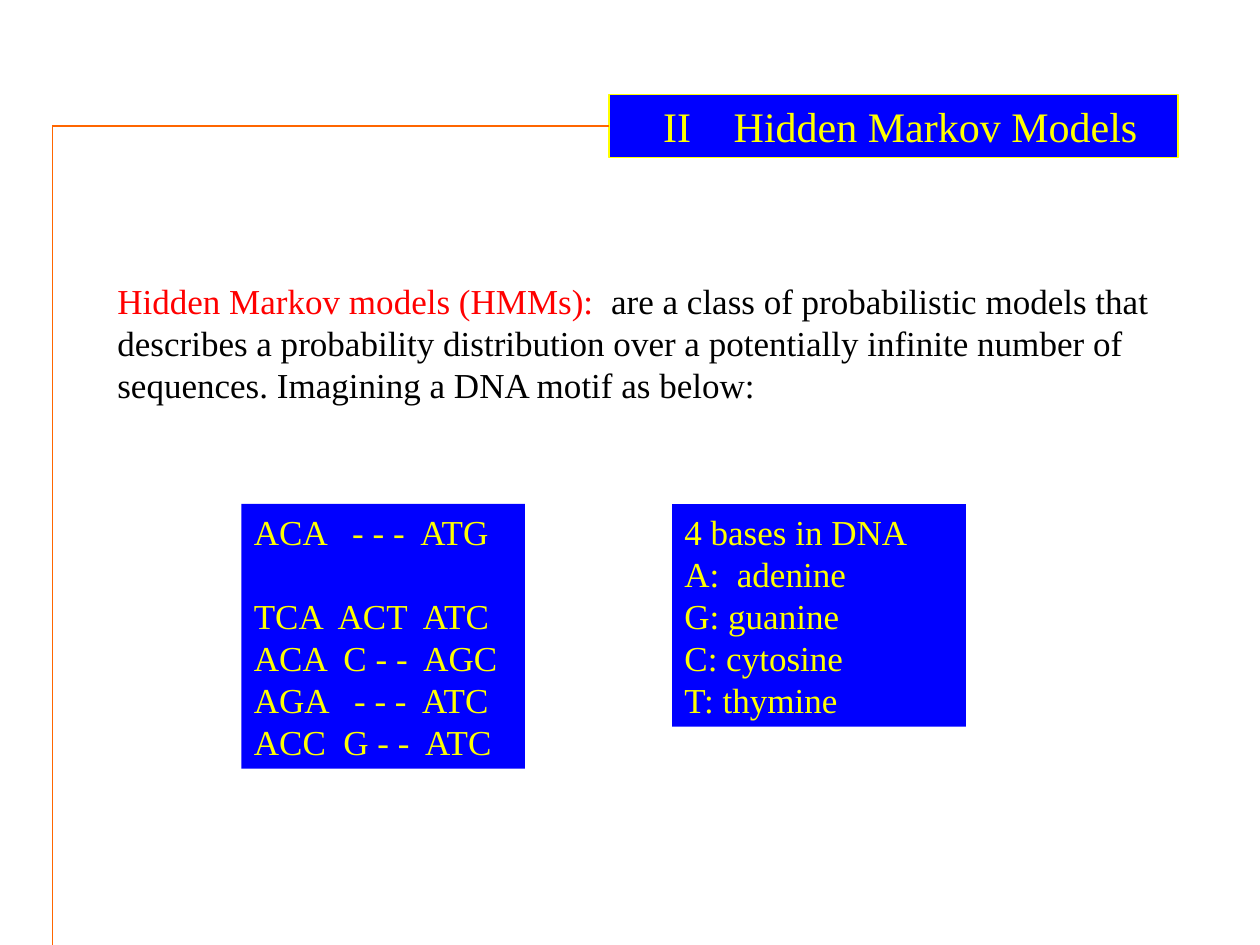
from dataclasses import dataclass
from lxml import etree
from pptx import Presentation
from pptx.dml.color import RGBColor
from pptx.enum.shapes import MSO_CONNECTOR, MSO_SHAPE
from pptx.enum.text import MSO_ANCHOR, PP_ALIGN
from pptx.oxml.ns import qn
from pptx.slide import Slide
from pptx.util import Inches, Pt

STRAIGHT = MSO_CONNECTOR.STRAIGHT
RECTANGLE = MSO_SHAPE.RECTANGLE
TOP = MSO_ANCHOR.TOP
LEFT = PP_ALIGN.LEFT
COLORS = {"frame": "FF6600", "panel": "0000FF", "accent": "FFFF00",
          "term": "FF0000", "text": "000000", "paper": "FFFFFF"}
MOTIF = ["ACA   - - -  ATG", "TCA  ACT  ATC", "ACA  C - -  AGC",
         "AGA   - - -  ATC", "ACC  G - -  ATC"]
BASES = ["4 bases in DNA", "A:  adenine", "G: guanine", "C: cytosine", "T: thymine"]
DEFINITION = [
    ("Hidden Markov models (HMMs):", "term"),
    ("  are a class of probabilistic models that describes a probability distribution "
     "over a potentially infinite number of sequences. Imagining a DNA motif as below:",
     "text"),
]


@dataclass
class LectureSlide:
    """Draws lecture elements on a grid of 120 columns by 90 rows."""
    slide: Slide
    font: str = "Times New Roman"
    size: int = 20
    leading: float = 1.2
    cell: float = 1 / 12

    def grid(self, *cells):
        return [Inches(count * self.cell) for count in cells]

    def color(self, name):
        return RGBColor.from_string(COLORS[name])

    def style(self, paragraph, color, size):
        paragraph.alignment = LEFT
        paragraph.line_spacing = Pt(size * self.leading)
        paragraph.space_before = Pt(0)
        paragraph.font.name = self.font
        paragraph.font.size = Pt(size)
        paragraph.font.color.rgb = self.color(color)

    def frame_line(self, *ends):
        line = self.slide.shapes.add_connector(STRAIGHT, *self.grid(*ends))
        line.line.color.rgb = self.color("frame")
        line.line.width = Pt(0.75)
        etree.SubElement(line._element.spPr, qn("a:effectLst"))

    def title(self, number, heading, area, size=24):
        title = self.slide.shapes.title
        title.left, title.top, title.width, title.height = self.grid(*area)
        title.fill.solid()
        title.fill.fore_color.rgb = self.color("panel")
        title.line.color.rgb = self.color("accent")
        title.line.width = Pt(1)
        frame = title.text_frame
        frame.vertical_anchor = TOP
        frame.margin_left = Inches(0.43)
        frame.text = f"{number}\t{heading}"
        paragraph = frame.paragraphs[0]
        self.style(paragraph, "accent", size)
        properties = paragraph._p.get_or_add_pPr()
        stops = etree.Element(qn("a:tabLst"))
        etree.SubElement(stops, qn("a:tab"), pos=str(Inches(0.56)), algn="l")
        properties.insert(len(properties) - 1, stops)

    def definition(self, parts, area):
        box = self.slide.shapes.add_textbox(*self.grid(*area))
        box.fill.solid()
        box.fill.fore_color.rgb = self.color("paper")
        box.text_frame.word_wrap = True
        paragraph = box.text_frame.paragraphs[0]
        self.style(paragraph, "text", self.size)
        for text, color in parts:
            run = paragraph.add_run()
            run.text = text
            run.font.color.rgb = self.color(color)

    def panel(self, lines, area, gap_after_first=0):
        panel = self.slide.shapes.add_shape(RECTANGLE, *self.grid(*area))
        panel.shadow.inherit = False
        panel.fill.solid()
        panel.fill.fore_color.rgb = self.color("panel")
        panel.line.fill.background()
        frame = panel.text_frame
        frame.word_wrap = True
        frame.vertical_anchor = TOP
        frame.text = "\n".join(lines)
        for paragraph in frame.paragraphs:
            self.style(paragraph, "accent", self.size)
        frame.paragraphs[0].space_after = Pt(gap_after_first * self.size * self.leading)


def main():
    deck = Presentation()
    deck.slide_width, deck.slide_height = Inches(10), Inches(7.5)
    page = LectureSlide(deck.slides.add_slide(deck.slide_layouts[5]))
    page.frame_line(58, 12, 5, 12)
    page.frame_line(5, 90, 5, 12)
    page.definition(DEFINITION, (10, 26, 102, 21))
    page.title("II", "Hidden Markov Models", (58, 9, 54.2, 6))
    page.panel(MOTIF, (23, 48, 27, 25.2), gap_after_first=1)
    page.panel(BASES, (64, 48, 28, 21.2))
    deck.save("out.pptx")


if __name__ == "__main__":
    main()
